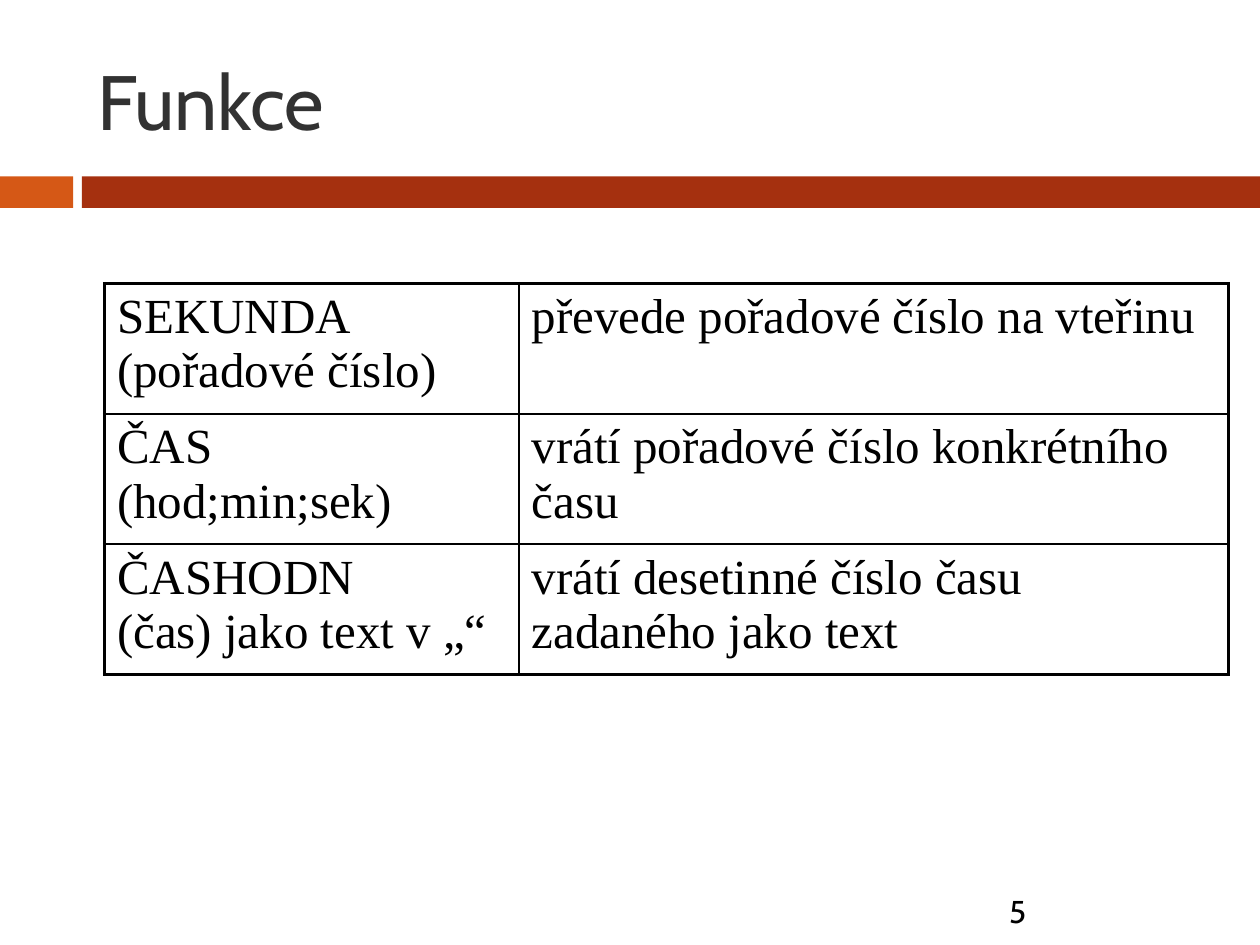
import pptx
import pptx.dml.color
import pptx.enum.shapes
import pptx.enum.text
import pptx.oxml.ns
import pptx.util
from lxml import etree
from pptx.util import Inches

RGBColor = pptx.dml.color.RGBColor
ORANGE = RGBColor(0xD5, 0x58, 0x16)
RUST = RGBColor(0xA5, 0x30, 0x0F)
CHARCOAL = RGBColor(0x32, 0x32, 0x32)
BLACK = RGBColor(0, 0, 0)

TITLE_FONT = {"name": "Cabin", "size": pptx.util.Pt(44), "bold": False}
NUMBER_FONT = {"name": "Cabin", "size": pptx.util.Pt(18)}
CELL_FONT = {"name": "Times New Roman", "size": pptx.util.Pt(28), "bold": False}

THIN, THICK = 1, 2.25
COLUMN_WIDTHS = (3.29, 5.63)
ROW_HEIGHT = 0.96
FUNCTIONS = [
    ("SEKUNDA\n(pořadové číslo)", "převede pořadové číslo na vteřinu"),
    ("ČAS\n(hod;min;sek)", "vrátí pořadové číslo konkrétního času"),
    ("ČASHODN\n(čas) jako text v „“", "vrátí desetinné číslo času zadaného jako text"),
]


def set_text(tf, text, font, color):
    tf.text = text
    for p in tf.paragraphs:
        p.alignment = pptx.enum.text.PP_ALIGN.LEFT
        for r in p.runs:
            for name, value in font.items():
                setattr(r.font, name, value)
            r.font.color.rgb = color


def add_bar(s, left, width, color):
    sp = s.shapes.add_shape(pptx.enum.shapes.MSO_SHAPE.RECTANGLE,
                            Inches(left), Inches(1.4), Inches(width), Inches(0.25))
    sp.shadow.inherit = False
    sp.fill.solid()
    sp.fill.fore_color.rgb = color
    sp.line.fill.background()


def add_title(s, text):
    sp = s.shapes.title
    sp.left, sp.top = Inches(0.67), Inches(0.25)
    sp.width, sp.height = Inches(8.92), Inches(1.08)
    set_text(sp.text_frame, text, TITLE_FONT, CHARCOAL)
    sp.text_frame.vertical_anchor = pptx.enum.text.MSO_ANCHOR.MIDDLE


def add_page_number(s, text):
    sp = s.shapes.add_textbox(Inches(7.91), Inches(7.03), Inches(1.02), Inches(0.4))
    sp.text_frame.word_wrap = True
    set_text(sp.text_frame, text, NUMBER_FONT, BLACK)


def set_borders(cell, widths):
    """Draw black cell borders; widths maps L, R, T, B to points."""
    tc_pr = cell._tc.get_or_add_tcPr()
    qn = pptx.oxml.ns.qn
    for i, (side, width) in enumerate(widths.items()):
        ln = etree.Element(qn(f"a:ln{side}"), w=str(pptx.util.Pt(width)))
        fill = etree.SubElement(ln, qn("a:solidFill"))
        etree.SubElement(fill, qn("a:srgbClr"), val=str(BLACK))
        tc_pr.insert(i, ln)


def add_function_table(s, rows):
    n_rows, n_cols = len(rows), len(COLUMN_WIDTHS)
    frame = s.shapes.add_table(n_rows, n_cols, Inches(0.83), Inches(2.25),
                               Inches(sum(COLUMN_WIDTHS)), Inches(ROW_HEIGHT * n_rows))
    table = frame.table
    table.first_row = table.horz_banding = False
    for column, width in zip(table.columns, COLUMN_WIDTHS):
        column.width = Inches(width)
    for i, row in enumerate(rows):
        table.rows[i].height = Inches(ROW_HEIGHT)
        for j, text in enumerate(row):
            cell = table.cell(i, j)
            cell.fill.background()
            set_text(cell.text_frame, text, CELL_FONT, BLACK)
            outer = {"L": j == 0, "R": j == n_cols - 1,
                     "T": i == 0, "B": i == n_rows - 1}
            set_borders(cell, {side: THICK if edge else THIN
                               for side, edge in outer.items()})


def main():
    prs = pptx.Presentation()
    prs.slide_width, prs.slide_height = Inches(10), Inches(7.5)
    s = prs.slides.add_slide(prs.slide_layouts[5])
    add_bar(s, 0, 0.58, ORANGE)
    add_bar(s, 0.65, 9.35, RUST)
    add_page_number(s, "5")
    add_title(s, "Funkce")
    add_function_table(s, FUNCTIONS)
    prs.save("out.pptx")


if __name__ == "__main__":
    main()
